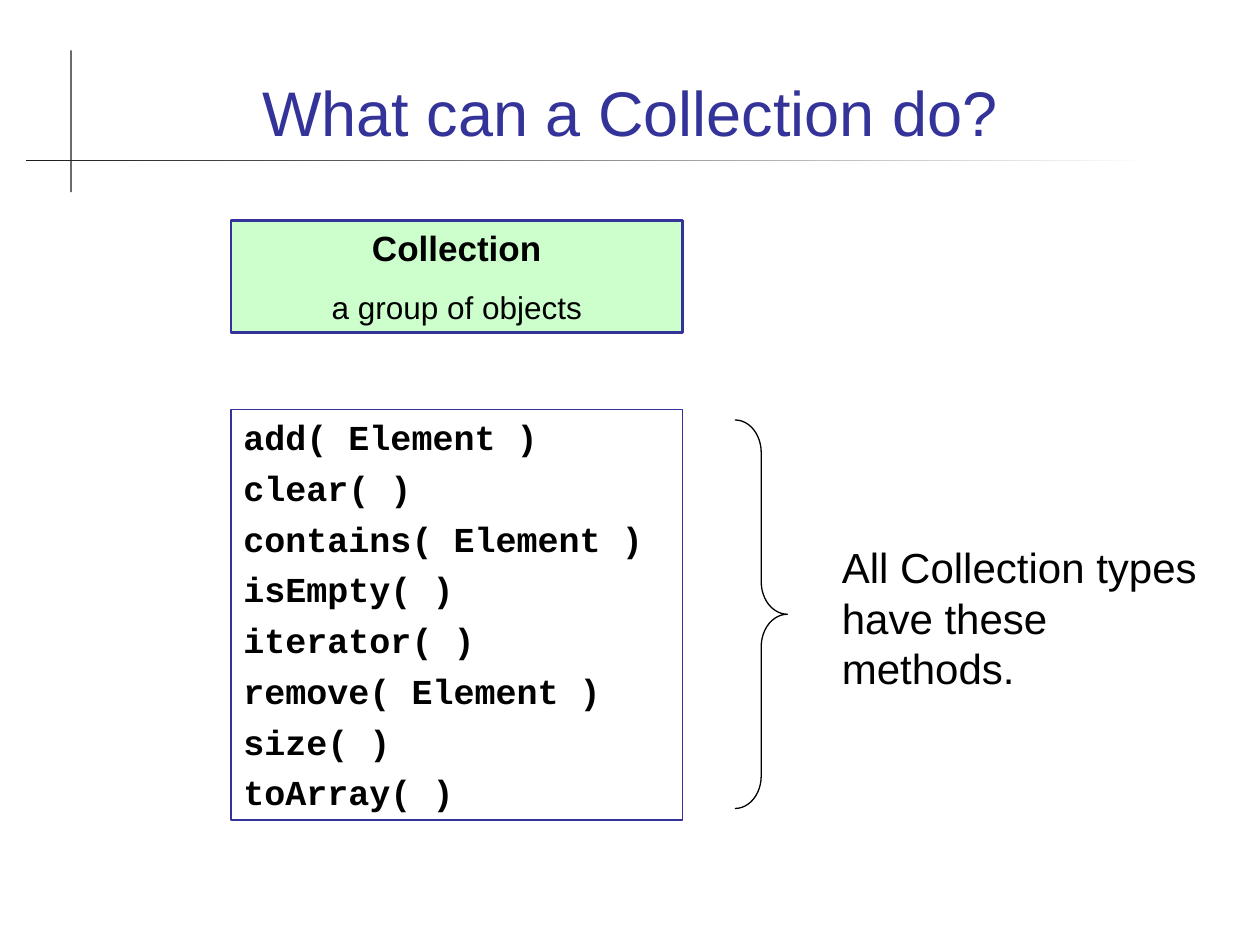
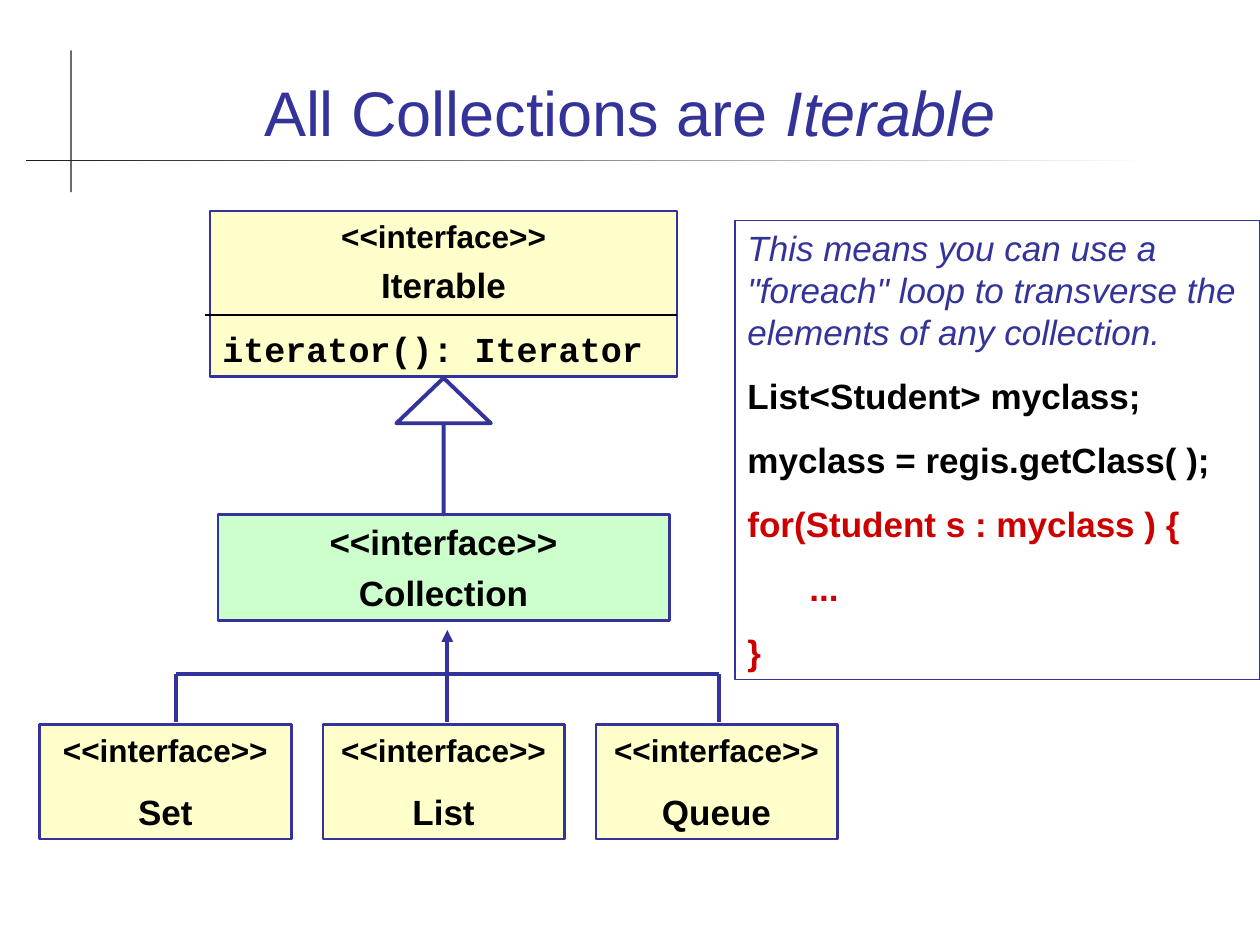
from dataclasses import dataclass
from lxml.etree import SubElement
from pptx import Presentation
from pptx.dml.color import RGBColor
from pptx.enum.shapes import MSO_CONNECTOR, MSO_SHAPE
from pptx.enum.text import MSO_ANCHOR, PP_ALIGN
from pptx.oxml.ns import qn
from pptx.util import Inches, Pt


@dataclass(frozen=True)
class Theme:
    blue: str = "333399"
    black: str = "000000"
    rule: str = "1C1C1C"
    white: str = "FFFFFF"
    green: str = "CCFFCC"
    yellow: str = "FFFFCC"
    red: str = "CC0000"
    sans: str = "Arial"
    mono: str = "Courier New"
    title: int = 36
    note: int = 24
    body: int = 20
    small: int = 18
    thin: float = 0.75
    medium: float = 1.5
    thick: float = 2.25


theme = Theme()


@dataclass
class Line:
    text: str
    size: int = theme.body
    color: str = theme.black
    font: str = theme.sans
    bold: bool = True
    italic: bool = False
    align: PP_ALIGN = PP_ALIGN.LEFT
    before: float = 12.5
    indent: float = 0
    italic_tail: str = ""


presentation = Presentation()
presentation.slide_width = Inches(10)
presentation.slide_height = Inches(7.5)
column = presentation.slide_width / 120
row = presentation.slide_height / 90
center = PP_ALIGN.CENTER


def add_box(slide, left, top, width, height, lines=(), fill=None, outline=None,
            weight=theme.medium, kind=MSO_SHAPE.RECTANGLE, anchor=MSO_ANCHOR.TOP):
    shape = slide.shapes.add_shape(kind, round(left * column), round(top * row),
                                   round(width * column), round(height * row))
    shape.shadow.inherit = False
    if fill:
        shape.fill.solid()
        shape.fill.fore_color.rgb = RGBColor.from_string(fill)
    else:
        shape.fill.background()
    if outline:
        shape.line.color.rgb = RGBColor.from_string(outline)
        shape.line.width = Pt(weight)
    else:
        shape.line.fill.background()
    frame = shape.text_frame
    frame.word_wrap = True
    frame.vertical_anchor = anchor
    for index, line in enumerate(lines):
        paragraph = frame.add_paragraph() if index else frame.paragraphs[0]
        paragraph.alignment = line.align
        paragraph.space_before = Pt(line.before if index else 0)
        if line.indent:
            paragraph._p.get_or_add_pPr().set("marL", str(round(line.indent * column)))
        paragraph.text = line.text
        if line.italic_tail:
            paragraph.add_run().text = line.italic_tail
        for position, run in enumerate(paragraph.runs):
            run.font.name = line.font
            run.font.size = Pt(line.size)
            run.font.bold = line.bold
            run.font.italic = line.italic or position > 0
            run.font.color.rgb = RGBColor.from_string(line.color)
    return shape


def add_line(slide, start, end, color=theme.blue, weight=theme.thick, arrow=False):
    connector = slide.shapes.add_connector(
        MSO_CONNECTOR.STRAIGHT, round(start[0] * column), round(start[1] * row),
        round(end[0] * column), round(end[1] * row))
    connector.line.color.rgb = RGBColor.from_string(color)
    connector.line.width = Pt(weight)
    if arrow:
        SubElement(connector.line._get_or_add_ln(), qn("a:tailEnd"), type="triangle")
    SubElement(connector._element.spPr, qn("a:effectLst"))


slides = []
for title, italic_tail in [("What can a Collection do?", ""),
                           ("All Collections are ", "Iterable")]:
    slide = presentation.slides.add_slide(presentation.slide_layouts[6])
    add_box(slide, 6.7, 4.8, 0.12, 13.5, fill=theme.rule)
    horizontal_rule = add_box(slide, 2.5, 15.2, 107.6, 0.12)
    horizontal_rule.fill.gradient()
    horizontal_rule.fill.gradient_angle = 0
    for stop, color in zip(horizontal_rule.fill.gradient_stops, (theme.rule, theme.white)):
        stop.color.rgb = RGBColor.from_string(color)
    heading = Line(title, theme.title, theme.blue, bold=False, align=center,
                   italic_tail=italic_tail)
    add_box(slide, 8, 3.4, 104, 11.4, [heading], anchor=MSO_ANCHOR.BOTTOM)
    slides.append(slide)

methods_slide, iterable_slide = slides

add_box(methods_slide, 22, 21, 43, 10.7,
        [Line("Collection", align=center),
         Line("a group of objects", theme.small, bold=False, align=center, before=11.2)],
        theme.green, theme.blue)
methods = ["add( Element )", "clear( )", "contains( Element )", "isEmpty( )",
           "iterator( )", "remove( Element )", "size( )", "toArray( )"]
add_box(methods_slide, 22, 39, 43, 39.1,
        [Line(method, font=theme.mono, before=5) for method in methods],
        outline=theme.blue, weight=theme.thin)
brace = add_box(methods_slide, 70, 40, 5, 37, outline=theme.black,
                weight=theme.thin, kind=MSO_SHAPE.RIGHT_BRACE)
brace.adjustments[0] = 0.62
add_box(methods_slide, 79, 51, 37, 15.6,
        [Line("All Collection types have these methods.", theme.note, bold=False)])

add_box(iterable_slide, 20.75, 49, 43, 10.1,
        [Line("<<interface>>", align=center), Line("Collection", align=center, before=5)],
        theme.green, theme.blue)
add_box(iterable_slide, 20, 20.1, 44.5, 15.75,
        [Line("<<interface>>", theme.small, align=center),
         Line("Iterable", align=center, before=5),
         Line("iterator(): Iterator", font=theme.mono)],
        theme.yellow, theme.blue)
add_line(iterable_slide, (19.5, 30), (64.5, 30), theme.black, theme.thin)

for name, left, width in [("Set", 3.75, 24), ("List", 30.75, 23), ("Queue", 56.75, 23)]:
    add_box(iterable_slide, left, 69, width, 10.9,
            [Line("<<interface>>", theme.small, align=center), Line(name, align=center)],
            theme.yellow, theme.blue)

branch_row = 64.2
branches = [16.8, 42.6, 68.5]
add_line(iterable_slide, (branches[0], branch_row), (branches[-1], branch_row))
add_line(iterable_slide, (branches[1], branch_row), (branches[1], 60), arrow=True)
for branch in branches:
    add_line(iterable_slide, (branch, branch_row), (branch, 68.8))

inheritance_arrow = add_box(iterable_slide, 37.75, 36, 9, 13, outline=theme.blue,
                            weight=theme.thick, kind=MSO_SHAPE.UP_ARROW)
inheritance_arrow.adjustments[0] = 0
inheritance_arrow.adjustments[1] = 0.48

add_box(iterable_slide, 70, 21, 50, 43.7,
        [Line('This means you can use a "foreach" loop to transverse the elements of any '
              "collection.", color=theme.blue, bold=False, italic=True),
         Line("List<Student> myclass;"),
         Line("myclass = regis.getClass( );"),
         Line("for(Student s : myclass ) {", color=theme.red),
         Line("...", color=theme.red, indent=5.9),
         Line("}", color=theme.red)],
        outline=theme.blue, weight=theme.thin)

presentation.save("out.pptx")
